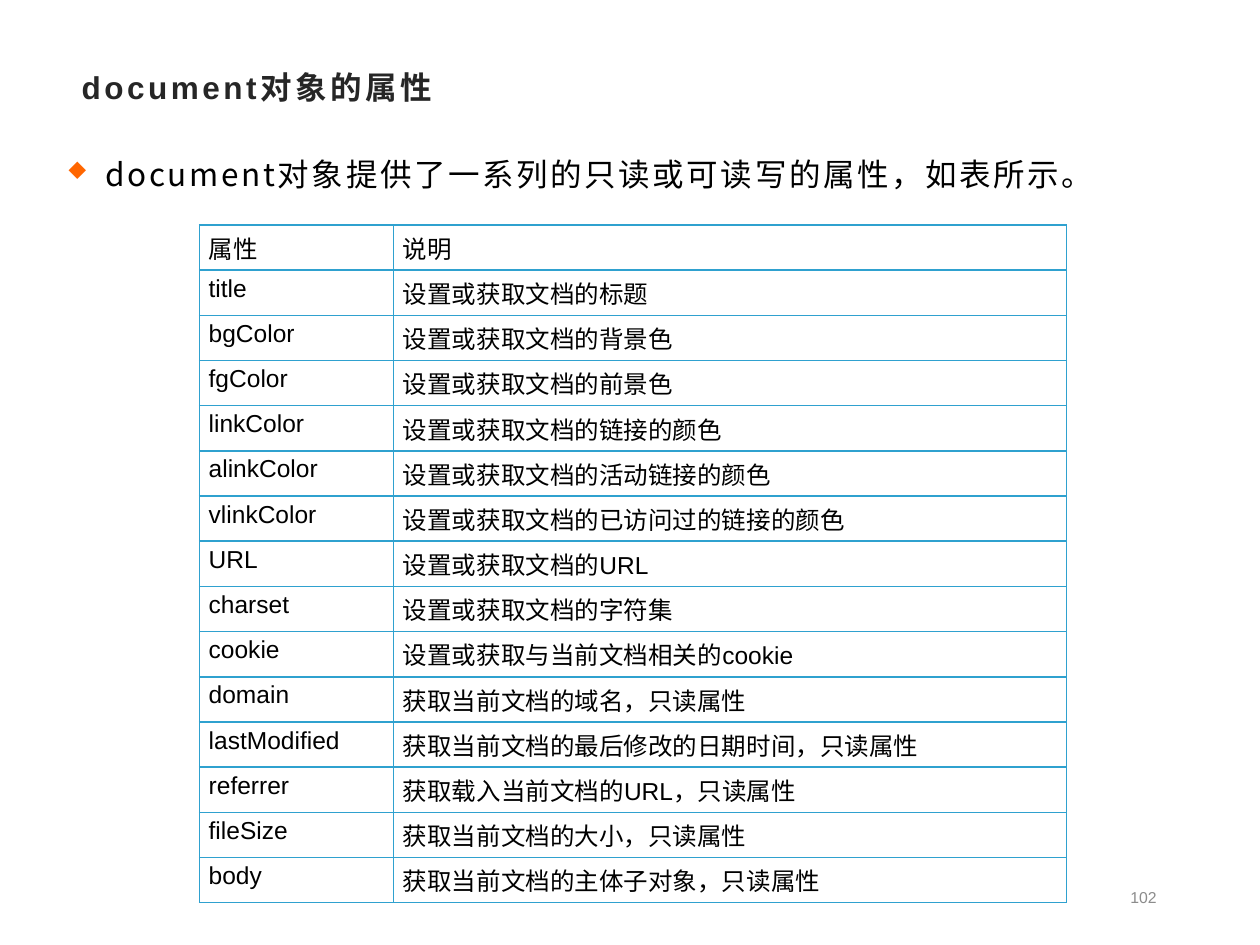
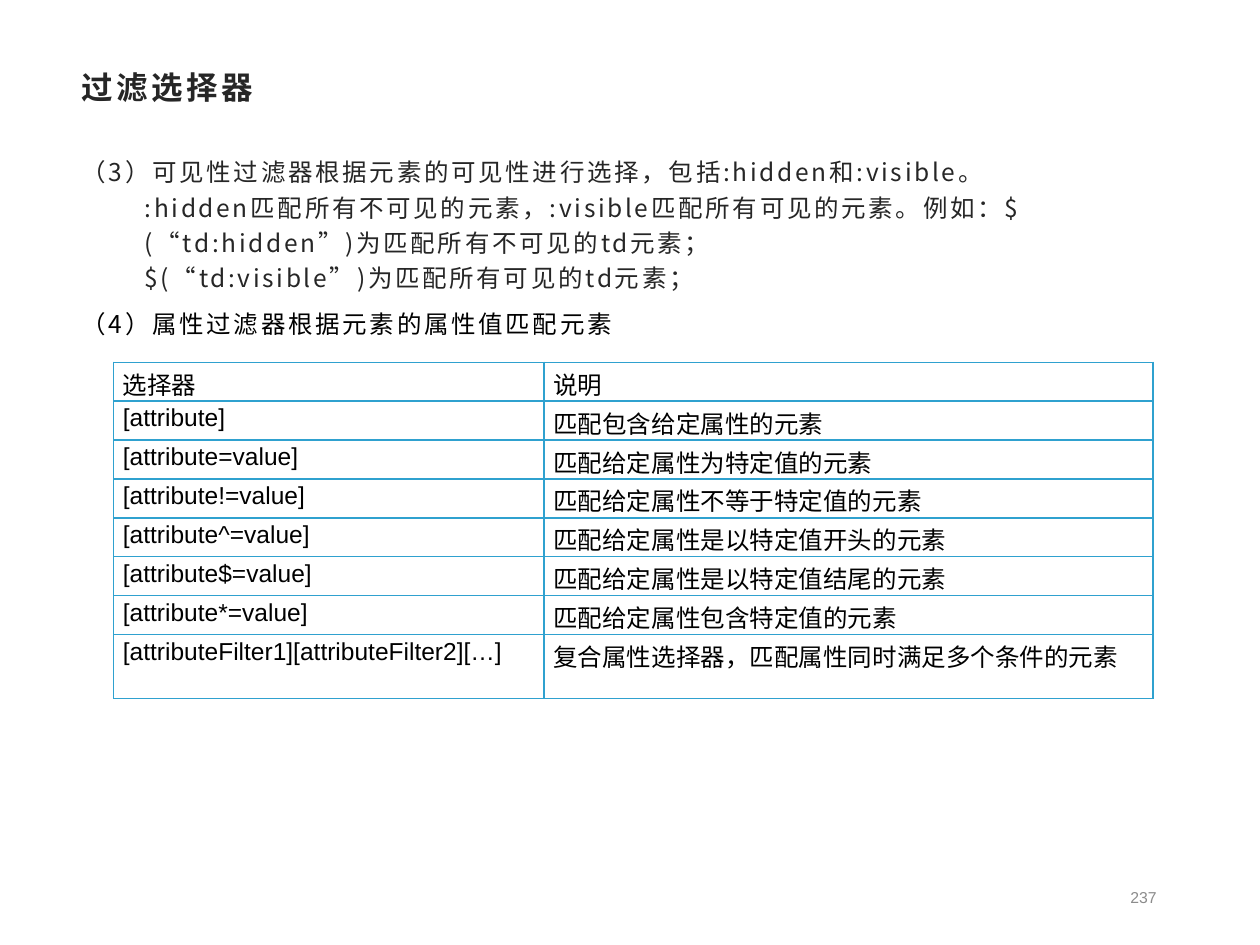
from pptx import Presentation
from pptx.dml.color import RGBColor as RGB
from pptx.enum.text import MSO_ANCHOR as Anchor, MSO_AUTO_SIZE as Fit, PP_ALIGN as Align
from pptx.oxml.ns import qn
from pptx.util import Pt
from lxml.etree import SubElement as Sub

INK = RGB(0x26, 0x26, 0x26)
BLACK = RGB(0, 0, 0)
GREY = RGB(0x8C, 0x8C, 0x8C)
BLUE = RGB(0x2F, 0xA1, 0xCF)
ORANGE = RGB(0xFF, 0x66, 0x00)
WHITE = RGB(0xFF, 0xFF, 0xFF)
ARIAL, NOTO = "Arial", "Noto Sans CJK SC"

TITLE = dict(name=ARIAL, size=Pt(18), bold=True, color=INK, track=2)
LEAD = dict(name=NOTO, size=Pt(18), color=BLACK, track=1.5)
BODY = dict(name=NOTO, size=Pt(14), color=INK, track=1.5)
HEAD = dict(BODY, color=BLACK)
CELL = dict(name=ARIAL, size=Pt(14), color=BLACK)
NUMBER = dict(name=ARIAL, size=Pt(9), color=GREY)
DIAMOND = "u"  # a diamond in Wingdings

# Body lines: text, format, left indent, hanging indent, space before, bullet
# Table: foot is the bottom cell margin, lead the line spacing
SLIDES = [
    dict(
        title="document对象的属性", number="102",
        box=(31, 80.5, 644, 33),
        lines=[("document对象提供了一系列的只读或可读写的属性，如表所示。",
                LEAD, 22, -22, 0, DIAMOND)],
        spot=(114, 128.5), cols=(111, 384.5), high=25.83, last=25.83,
        foot=2.6, lead=1.0,
        rows=[
            ("属性", "说明"),
            ("title", "设置或获取文档的标题"),
            ("bgColor", "设置或获取文档的背景色"),
            ("fgColor", "设置或获取文档的前景色"),
            ("linkColor", "设置或获取文档的链接的颜色"),
            ("alinkColor", "设置或获取文档的活动链接的颜色"),
            ("vlinkColor", "设置或获取文档的已访问过的链接的颜色"),
            ("URL", "设置或获取文档的URL"),
            ("charset", "设置或获取文档的字符集"),
            ("cookie", "设置或获取与当前文档相关的cookie"),
            ("domain", "获取当前文档的域名，只读属性"),
            ("lastModified", "获取当前文档的最后修改的日期时间，只读属性"),
            ("referrer", "获取载入当前文档的URL，只读属性"),
            ("fileSize", "获取当前文档的大小，只读属性"),
            ("body", "获取当前文档的主体子对象，只读属性"),
        ]),
    dict(
        title="过滤选择器", number="237",
        box=(39.5, 83, 648, 115),
        lines=[
            ("（3）可见性过滤器根据元素的可见性进行选择，包括:hidden和:visible。",
             BODY, 0, 0, 0, None),
            (":hidden匹配所有不可见的元素，:visible匹配所有可见的元素。"
             "例如：$(“td:hidden”)为匹配所有不可见的td元素；", BODY, 36, 0, 0, None),
            ("$(“td:visible”)为匹配所有可见的td元素；", BODY, 36, 0, 0, None),
            ("（4）属性过滤器根据元素的属性值匹配元素", HEAD, 0, 0, 6, None),
        ],
        spot=(65, 207), cols=(246, 348), high=22.25, last=36.5,
        foot=0, lead=0.95,
        rows=[
            ("选择器", "说明"),
            ("[attribute]", "匹配包含给定属性的元素"),
            ("[attribute=value]", "匹配给定属性为特定值的元素"),
            ("[attribute!=value]", "匹配给定属性不等于特定值的元素"),
            ("[attribute^=value]", "匹配给定属性是以特定值开头的元素"),
            ("[attribute$=value]", "匹配给定属性是以特定值结尾的元素"),
            ("[attribute*=value]", "匹配给定属性包含特定值的元素"),
            ("[attributeFilter1][attributeFilter2][…]",
             "复合属性选择器，匹配属性同时满足多个条件的元素"),
        ]),
]
GRID = ("spot", "cols", "high", "last", "foot", "lead", "rows")


def place(shape, box):
    for key, val in zip(("left", "top", "width", "height"), box):
        setattr(shape, key, Pt(val))


def write(para, text, form):
    run = para.add_run()
    run.text = text
    for key, val in form.items():
        if key == "color":
            run.font.color.rgb = val
        elif key == "track":
            run.font._element.set("spc", str(int(val * 100)))
        else:
            setattr(run.font, key, val)
    Sub(run.font._element, qn("a:ea")).set("typeface", NOTO)


def indent(para, left, hang):
    props = para._p.get_or_add_pPr()
    props.set("marL", str(Pt(left)))
    props.set("indent", str(Pt(hang)))
    return props


def mark(props, sign):
    """Give a paragraph a bullet sign, or none."""
    if not sign:
        Sub(props, qn("a:buNone"))
        return
    Sub(Sub(props, qn("a:buClr")), qn("a:srgbClr")).set("val", str(ORANGE))
    Sub(props, qn("a:buSzPct")).set("val", "68000")
    Sub(props, qn("a:buFont"), typeface="Wingdings", charset="2")
    Sub(props, qn("a:buChar")).set("char", sign)


def frame(cell):
    props = cell._tc.get_or_add_tcPr()
    for side in ("lnL", "lnR", "lnT", "lnB"):
        line = Sub(props, qn("a:" + side), w=str(Pt(1)))
        Sub(Sub(line, qn("a:solidFill")), qn("a:srgbClr")).set("val", str(BLUE))
    cell.fill.solid()
    cell.fill.fore_color.rgb = WHITE


def add_title(slide, text):
    title = slide.shapes.title
    place(title, (39.5, 32.25, 641, 34.5))
    title.text_frame.vertical_anchor = Anchor.MIDDLE
    title.text_frame.auto_size = Fit.NONE
    para = title.text_frame.paragraphs[0]
    para.alignment = Align.LEFT
    write(para, text, TITLE)


def add_body(slide, box, lines):
    body = slide.placeholders[1]
    place(body, box)
    area = body.text_frame
    area.auto_size = Fit.NONE
    for i, (text, form, left, hang, gap, sign) in enumerate(lines):
        para = area.add_paragraph() if i else area.paragraphs[0]
        para.line_spacing = 1.2
        para.space_before = Pt(gap)
        mark(indent(para, left, hang), sign)
        write(para, text, form)


def add_grid(slide, spot, cols, high, last, foot, lead, rows):
    tall = [high] * (len(rows) - 1) + [last]
    size = (*spot, sum(cols), sum(tall))
    grid = slide.shapes.add_table(len(rows), len(cols), *map(Pt, size)).table
    grid.first_row = grid.horz_banding = False
    for col, wide in zip(grid.columns, cols):
        col.width = Pt(wide)
    for r, texts in enumerate(rows):
        grid.rows[r].height = Pt(tall[r])
        for c, text in enumerate(texts):
            cell = grid.cell(r, c)
            cell.margin_left = cell.margin_right = Pt(5.25)
            cell.margin_top, cell.margin_bottom = Pt(2.75), Pt(foot)
            frame(cell)
            para = cell.text_frame.paragraphs[0]
            para.line_spacing = lead
            indent(para, 27, -27)
            write(para, text, CELL)


def add_number(slide, text):
    box = slide.shapes.add_textbox(*map(Pt, (509, 500, 159, 25)))
    area = box.text_frame
    area.word_wrap = True
    area.vertical_anchor = Anchor.MIDDLE
    area.paragraphs[0].alignment = Align.RIGHT
    write(area.paragraphs[0], text, NUMBER)


def main():
    deck = Presentation()
    deck.slide_width, deck.slide_height = Pt(720), Pt(540)
    for part in SLIDES:
        slide = deck.slides.add_slide(deck.slide_layouts[1])
        add_title(slide, part["title"])
        add_body(slide, part["box"], part["lines"])
        add_grid(slide, *(part[key] for key in GRID))
        add_number(slide, part["number"])
    deck.save("out.pptx")


if __name__ == "__main__":
    main()
